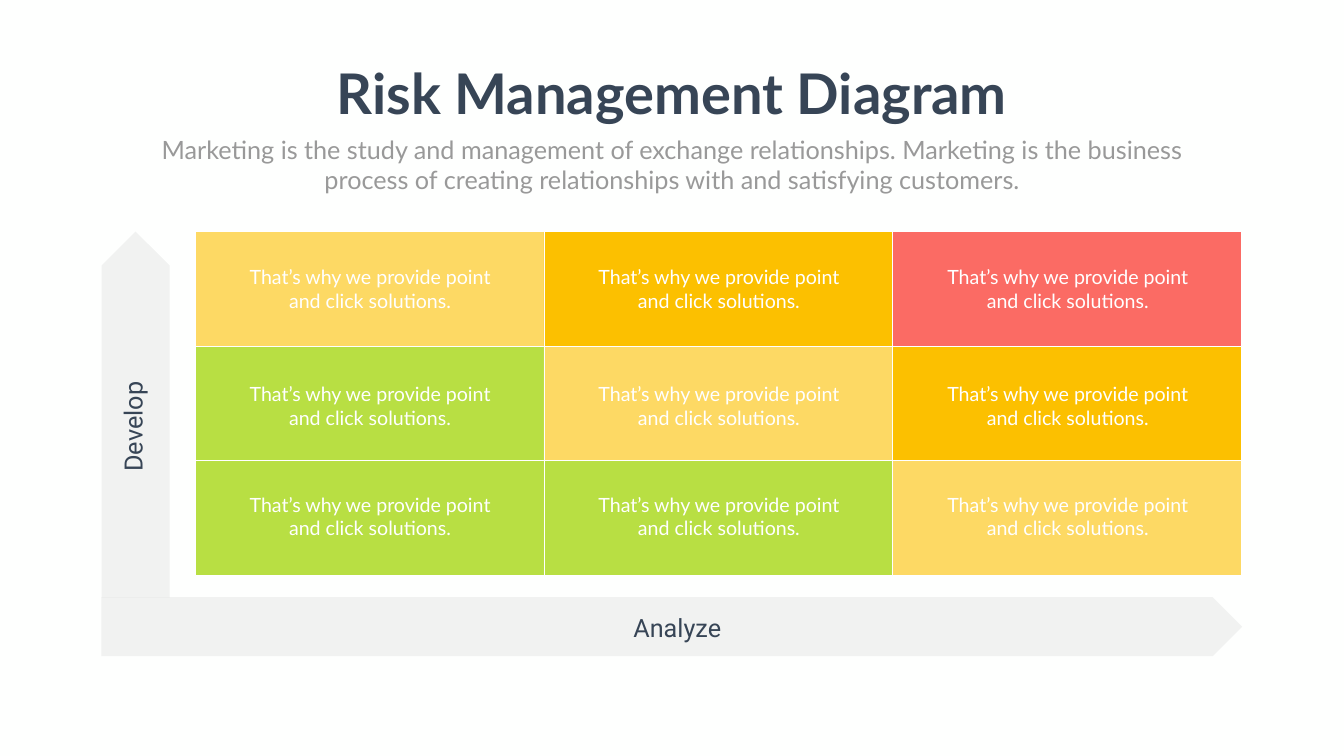
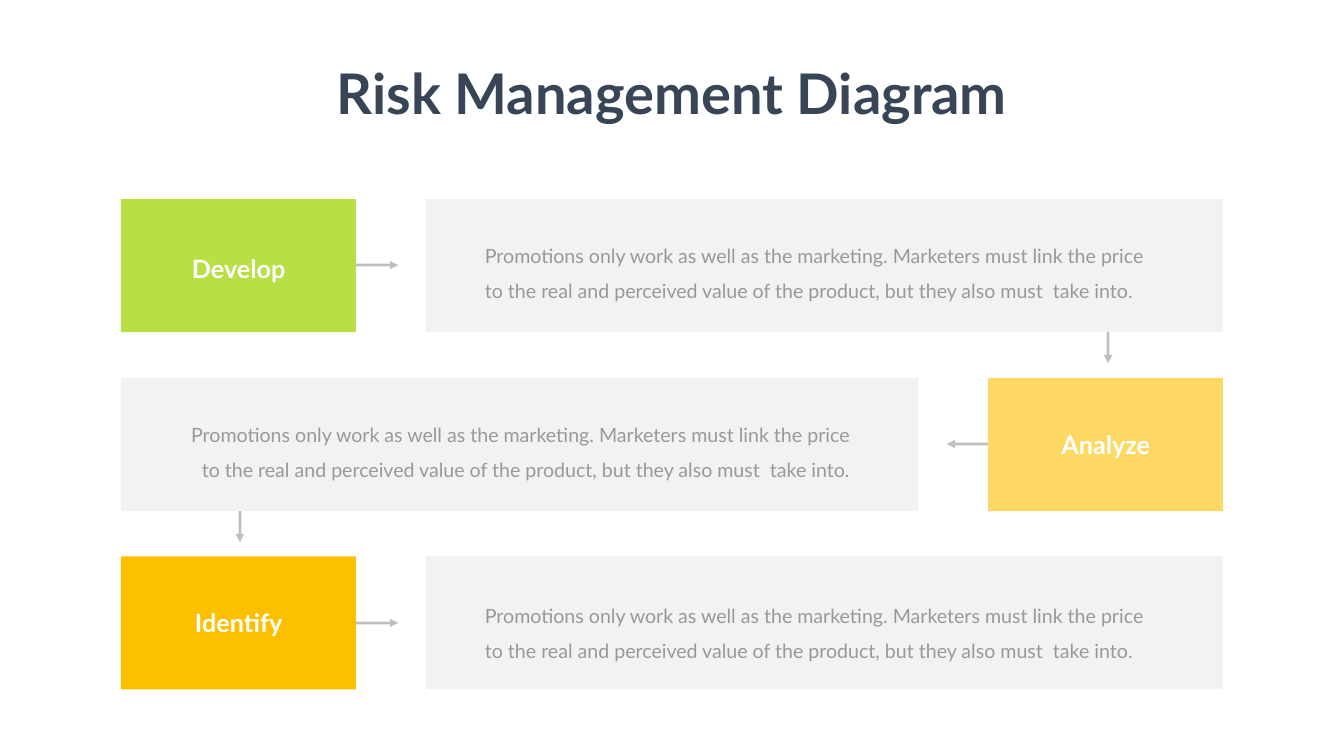
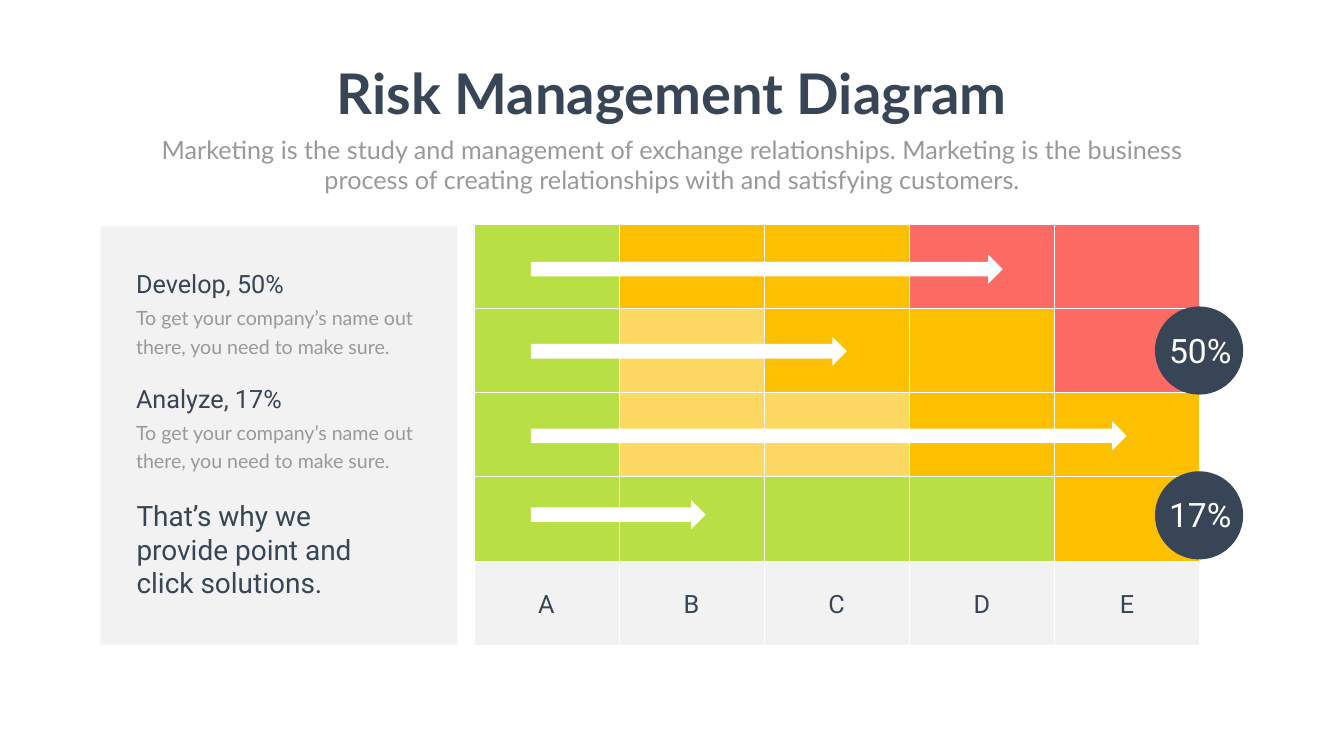
from lxml.etree import SubElement
from pptx import Presentation
from pptx.dml.color import RGBColor
from pptx.enum.shapes import MSO_CONNECTOR, MSO_SHAPE as SHAPE
from pptx.enum.text import MSO_AUTO_SIZE, PP_ALIGN as ALIGN
from pptx.oxml.ns import qn
from pptx.util import Pt

PX = 9144
PAPER = RGBColor(0xFE, 0xFF, 0xFE)
WHITE = RGBColor(0xFF, 0xFF, 0xFF)
NAVY = RGBColor(0x37, 0x45, 0x56)
TEXT_GREY = RGBColor(0x99, 0x99, 0x99)
GREY = RGBColor(0x80, 0x80, 0x80)
GREEN = RGBColor(0xB8, 0xDF, 0x43)
YELLOW = RGBColor(0xFD, 0xD9, 0x64)
AMBER = RGBColor(0xFC, 0xC0, 0x00)
RED = RGBColor(0xFB, 0x6B, 0x64)

TITLE = "Risk Management Diagram"
SUBTITLE = ("Marketing is the study and management of exchange relationships. "
            "Marketing is the business process of creating relationships with "
            "and satisfying customers.")
SOLUTIONS = "That’s why we provide point and click solutions."
PROMOTIONS = ("Promotions only work as well as the marketing. Marketers must link "
              "the price to the real and perceived value of the product, but they "
              "also must  take into.")
COMPANY = "To get your company’s name out there, you need to make sure."


def add_box(s, kind, x, y, w, h, color, outlined=False):
    sp = s.shapes.add_shape(kind, x * PX, y * PX, w * PX, h * PX)
    sp.shadow.inherit = False
    sp.fill.solid()
    sp.fill.fore_color.rgb = color
    if color == GREY:
        clr = sp.fill._xPr.find(".//" + qn("a:srgbClr"))
        SubElement(clr, qn("a:alpha"), val="10000")
    if outlined:
        sp.line.color.rgb = WHITE
        sp.line.width = Pt(1)
    else:
        sp.line.fill.background()
    return sp


def add_text(s, x, y, w, h, text, size, color, font="Lato", align=ALIGN.CENTER,
             bold=False, spacing=None, wrap=True):
    sp = s.shapes.add_textbox(x * PX, y * PX, w * PX, h * PX)
    tf = sp.text_frame
    tf.word_wrap = wrap
    tf.auto_size = MSO_AUTO_SIZE.SHAPE_TO_FIT_TEXT
    p = tf.paragraphs[0]
    p.text = text
    p.alignment = align
    p.line_spacing = spacing
    p.font.name = font
    p.font.size = Pt(size)
    p.font.bold = bold
    p.font.color.rgb = color
    return sp


prs = Presentation()
prs.slide_width = 2666 * PX
prs.slide_height = 1500 * PX
prs.slide_master.background.fill.solid()
prs.slide_master.background.fill.fore_color.rgb = PAPER
matrix, flow, chart = [prs.slides.add_slide(prs.slide_layouts[6]) for _ in range(3)]

risk_rows = [
    (521, [YELLOW, AMBER, RED]),
    (753, [GREEN, YELLOW, AMBER]),
    (973, [GREEN, GREEN, YELLOW]),
]
for row, (text_y, colors) in enumerate(risk_rows):
    for col, color in enumerate(colors):
        x = 387 + 692 * col
        add_box(matrix, SHAPE.RECTANGLE, x, 460 + 227 * row, 692, 227, color, True)
        add_text(matrix, x + 81, text_y, 532, 104, SOLUTIONS, 28, WHITE)
add_box(matrix, SHAPE.PENTAGON, -94, 755, 726, 135, GREY).rotation = 270
add_box(matrix, SHAPE.PENTAGON, 201, 1185, 2263, 117, GREY)
add_text(matrix, 140, 806, 257, 81, "Develop", 36, NAVY, "Roboto").rotation = 270
add_text(matrix, 1196, 1209, 295, 71, "Analyze", 36, NAVY, "Roboto")

arrows = [
    (673, 526, 790, 526),
    (2198, 659, 2198, 721),
    (1995, 881, 1878, 881),
    (476, 1014, 476, 1076),
    (673, 1236, 790, 1236),
]
for arrow in arrows:
    cn = flow.shapes.add_connector(MSO_CONNECTOR.STRAIGHT, *[v * PX for v in arrow])
    cn.line.color.rgb = GREY
    cn.line.width = Pt(4)
    ln = cn.line._get_or_add_ln()
    SubElement(ln.find(".//" + qn("a:srgbClr")), qn("a:alpha"), val="50000")
    SubElement(ln, qn("a:tailEnd"), type="triangle")
    SubElement(cn._element.spPr, qn("a:effectLst"))

steps = [
    ("Develop", GREEN, 395, 240, 497, 845, 952, 456, ALIGN.LEFT),
    ("Analyze", YELLOW, 750, 1960, 846, 240, 336, 811, ALIGN.RIGHT),
    ("Identify", AMBER, 1104, 240, 1200, 845, 952, 1169, ALIGN.LEFT),
]
for name, color, y, x, name_y, panel_x, text_x, text_y, align in steps:
    add_box(flow, SHAPE.RECTANGLE, x, y, 466, 264, color)
    add_box(flow, SHAPE.RECTANGLE, panel_x, y, 1581, 264, GREY)
    add_text(flow, x + 103, name_y, 261, 71, name, 36, WHITE, bold=True)
    add_text(flow, text_x, text_y, 1359, 142, PROMOTIONS, 28, TEXT_GREY,
             align=align, spacing=1.5)

heat_rows = [
    [GREEN, AMBER, AMBER, RED, RED],
    [GREEN, YELLOW, AMBER, AMBER, RED],
    [GREEN, YELLOW, YELLOW, AMBER, AMBER],
    [GREEN, GREEN, GREEN, GREEN, AMBER],
    [GREY] * 5,
]
for row, colors in enumerate(heat_rows):
    for col, color in enumerate(colors):
        add_box(chart, SHAPE.RECTANGLE, 940 + 288 * col, 445 + 167 * row, 288, 167,
                color, True)
for col, letter in enumerate("ABCDE"):
    add_text(chart, 974 + 288 * col, 1163, 219, 71, letter, 36, NAVY, "Roboto")

add_box(chart, SHAPE.RECTANGLE, 199, 448, 708, 831, GREY)
for name, y in [("Develop, 50%", 528), ("Analyze, 17%", 755)]:
    add_text(chart, 260, y + 65, 572, 109, COMPANY, 28, TEXT_GREY,
             align=ALIGN.LEFT, spacing=Pt(40.8))
    add_text(chart, 260, y, 572, 71, name, 36, NAVY, "Roboto", ALIGN.LEFT)
add_text(chart, 261, 984, 531, 212, SOLUTIONS, 40, NAVY, "Roboto", ALIGN.LEFT)

for y, w in [(505, 936), (668, 627), (836, 1182), (992, 347)]:
    add_box(chart, SHAPE.RIGHT_ARROW, 1053, y, w, 58, WHITE)
for share, y in [("50%", 608), ("17%", 935)]:
    add_box(chart, SHAPE.OVAL, 2291, y, 175, 175, NAVY)
    add_text(chart, 2308, y + 41, 146, 91, share, 48, WHITE, "Roboto", wrap=False)

for s in prs.slides:
    add_text(s, 646, 112, 1374, 145, TITLE, 80, NAVY, bold=True, wrap=False)
for s in (matrix, chart):
    add_text(s, 292, 261, 2082, 131, SUBTITLE, 36, TEXT_GREY)

prs.save("out.pptx")
